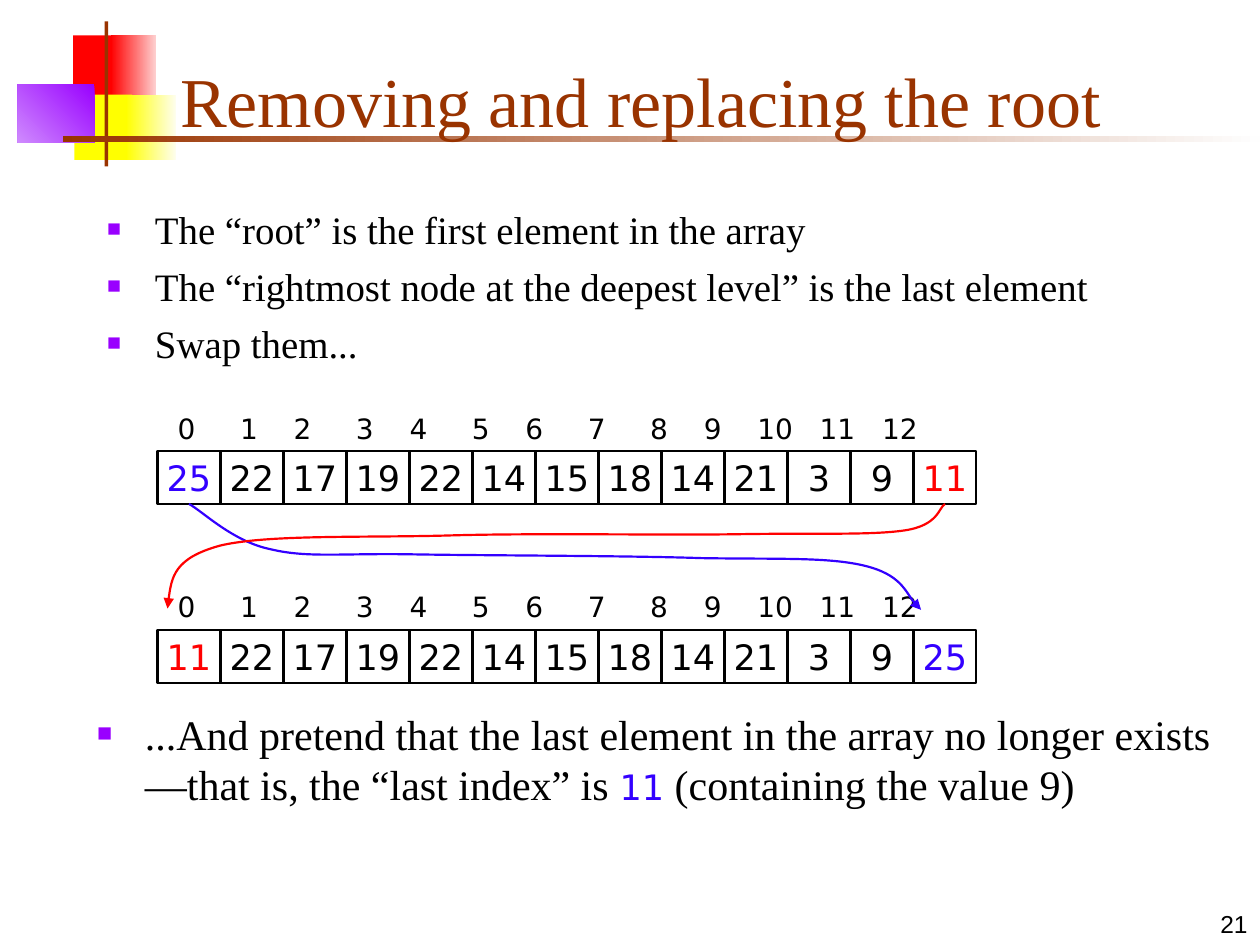
from dataclasses import dataclass
from itertools import accumulate

from lxml.etree import SubElement
from pptx import Presentation
from pptx.dml.color import RGBColor
from pptx.enum.shapes import MSO_SHAPE as Preset
from pptx.enum.text import MSO_ANCHOR as Anchor, MSO_AUTO_SIZE as AutoSize, PP_ALIGN as Align
from pptx.oxml.ns import qn
from pptx.util import Inches, Pt


@dataclass(frozen=True)
class Theme:
    black: str = "000000"
    red: str = "FF0000"
    blue: str = "3300FF"
    yellow: str = "FFFF00"
    purple: str = "9900FF"
    brown: str = "993300"
    pale_red: str = "FED0D0"
    pale_yellow: str = "FEFEEF"
    pale_purple: str = "CF8AFE"
    off_white: str = "FEFEFE"
    serif: str = "Times New Roman"
    sans: str = "DejaVu Sans"
    number_font: str = "Arial"
    title_size: float = 40
    list_size: float = 22.2
    closing_size: float = 24
    cell_size: float = 20
    index_size: float = 16
    number_size: float = 14
    line_width: float = 1.25


theme = Theme()


def format_run(run, size, font, color):
    run.font.size = Pt(size)
    run.font.name = font
    run.font.color.rgb = RGBColor.from_string(color)


def format_bullet(paragraph):
    paragraph.space_before = Pt(6)
    properties = paragraph._p.get_or_add_pPr()
    properties.set("marL", str(Inches(0.38)))
    properties.set("indent", str(-Inches(0.38)))
    color = SubElement(properties, qn("a:buClr"))
    SubElement(color, qn("a:srgbClr"), val=theme.purple)
    SubElement(properties, qn("a:buSzPct"), val="60000")
    SubElement(properties, qn("a:buFont"), typeface=theme.serif)
    SubElement(properties, qn("a:buChar"), char="■")


presentation = Presentation()
presentation.slide_width = Inches(10)
presentation.slide_height = Inches(7.5)
slide = presentation.slides.add_slide(presentation.slide_layouts[3])

decorations = [
    ((0.58, 0.28, 0.35, 0.52), [theme.red], 0),
    ((0.88, 0.28, 0.36, 0.52), [theme.pale_red, theme.red], 180),
    ((0.59, 0.75, 0.46, 0.52), [theme.yellow], 0),
    ((1, 0.75, 0.4, 0.52), [theme.pale_yellow, theme.yellow], 180),
    ((0.14, 0.67, 0.61, 0.46), [theme.purple, theme.pale_purple], 225),
    ((0.83, 0.17, 0.03, 1.15), [theme.brown], 0),
    ((0.5, 1.08, 9.5, 0.05), [theme.off_white, theme.brown], 180),
]
master_tree = presentation.slide_master.shapes.element
for box, colors, angle in decorations:
    shape = slide.shapes.add_shape(Preset.RECTANGLE, *map(Inches, box))
    shape.shadow.inherit = False
    shape.line.fill.background()
    if len(colors) == 1:
        shape.fill.solid()
        shape.fill.fore_color.rgb = RGBColor.from_string(colors[0])
    else:
        shape.fill.gradient()
        shape.fill.gradient_angle = angle
        for stop, color in zip(shape.fill.gradient_stops, colors):
            stop.color.rgb = RGBColor.from_string(color)
    master_tree.append(shape.element)

title, opening, closing = slide.placeholders
placeholder_boxes = [
    (title, (1.33, 0.25, 8.52, 0.92), Anchor.BOTTOM),
    (opening, (0.75, 1.58, 8.58, 1.5), Anchor.TOP),
    (closing, (0.67, 5.57, 9.13, 1.26), Anchor.TOP),
]
for shape, box, anchor in placeholder_boxes:
    shape.left, shape.top, shape.width, shape.height = map(Inches, box)
    shape.text_frame.auto_size = AutoSize.NONE
    shape.text_frame.vertical_anchor = anchor

title.text_frame.text = "Removing and replacing the root"
heading = title.text_frame.paragraphs[0]
heading.alignment = Align.LEFT
format_run(heading.runs[0], theme.title_size, theme.serif, theme.brown)

opening.text_frame.text = "\n".join([
    "The “root” is the first element in the array",
    "The “rightmost node at the deepest level” is the last element",
    "Swap them...",
])
for paragraph in opening.text_frame.paragraphs:
    format_bullet(paragraph)
    format_run(paragraph.runs[0], theme.list_size, theme.serif, theme.black)

paragraph = closing.text_frame.paragraphs[0]
format_bullet(paragraph)
closing_runs = [
    ("...And pretend that the last element in the array no longer exists"
     "—that is, the “last index” is ", theme.closing_size, theme.serif, theme.black),
    ("11", theme.cell_size, theme.sans, theme.blue),
    (" (containing the value 9)", theme.closing_size, theme.serif, theme.black),
]
for text, *style in closing_runs:
    run = paragraph.add_run()
    run.text = text
    format_run(run, *style)

middle = [22, 17, 19, 22, 14, 15, 18, 14, 21, 3, 9]
value_colors = {25: theme.blue, 11: theme.red}
wide, narrow = 0.495, 0.425
index_steps = [wide, narrow] * 3 + [wide, wide, narrow, narrow, wide, wide]
arrays = [([25, *middle, 11], 3.58, 3.22), ([11, *middle, 25], 5, 4.63)]
for values, cell_top, index_top in arrays:
    group = slide.shapes.add_group_shape()
    for column, value in enumerate(values):
        cell = group.shapes.add_shape(
            Preset.RECTANGLE, Inches(1.25 + 0.5 * column), Inches(cell_top), Inches(0.5), Inches(0.42))
        cell.shadow.inherit = False
        cell.fill.background()
        cell.line.color.rgb = RGBColor.from_string(theme.black)
        cell.line.width = Pt(theme.line_width)
        cell.text_frame.word_wrap = False
        cell.text_frame.vertical_anchor = Anchor.MIDDLE
        cell.text_frame.text = str(value)
        paragraph = cell.text_frame.paragraphs[0]
        paragraph.alignment = Align.CENTER
        format_run(paragraph.runs[0], theme.cell_size, theme.sans, value_colors.get(value, theme.black))

    indices = group.shapes.add_textbox(Inches(1.17), Inches(index_top), Inches(6.92), Inches(0.37))
    indices.text_frame.word_wrap = True
    indices.text_frame.margin_left = Inches(0.24)
    indices.text_frame.text = "\t".join(map(str, range(len(values))))
    paragraph = indices.text_frame.paragraphs[0]
    format_run(paragraph.runs[0], theme.index_size, theme.sans, theme.black)
    tabs = SubElement(paragraph._p.get_or_add_pPr(), qn("a:tabLst"))
    for position in accumulate(index_steps):
        SubElement(tabs, qn("a:tab"), pos=str(Inches(position)), algn="l")

swap_curves = [
    (theme.blue, [
        (1.5, 4), (1.61, 4.06), (1.85, 4.3), (2.15, 4.36), (2.44, 4.43), (2.71, 4.39), (3.28, 4.4),
        (3.85, 4.41), (4.98, 4.41), (5.57, 4.43), (6.17, 4.44), (6.57, 4.42), (6.86, 4.49),
        (7.15, 4.56), (7.22, 4.77), (7.31, 4.84)]),
    (theme.red, [
        (7.5, 4), (7.45, 4.03), (7.45, 4.17), (7.18, 4.21), (6.91, 4.25), (6.47, 4.23), (5.88, 4.24),
        (5.28, 4.25), (4.27, 4.23), (3.58, 4.25), (2.9, 4.27), (2.13, 4.24), (1.75, 4.33),
        (1.38, 4.43), (1.35, 4.63), (1.33, 4.83)]),
]
for color, points in swap_curves:
    start, *rest = [(Inches(x), Inches(y)) for x, y in points]
    builder = group.shapes.build_freeform(*start)
    builder.add_line_segments(rest, close=False)
    curve = builder.convert_to_shape()
    curve.shadow.inherit = False
    curve.fill.background()
    curve.line.color.rgb = RGBColor.from_string(color)
    curve.line.width = Pt(theme.line_width)
    SubElement(curve.line._get_or_add_ln(), qn("a:tailEnd"), type="triangle")
    outline = next(curve.element.iter(qn("a:path")))
    segments = outline.findall(qn("a:lnTo"))
    for first in range(0, len(segments), 3):
        bezier = SubElement(outline, qn("a:cubicBezTo"))
        for segment in segments[first:first + 3]:
            bezier.append(segment[0])
            outline.remove(segment)

number = slide.shapes.add_textbox(Inches(7.92), Inches(7), Inches(2.08), Inches(0.5))
number.text_frame.word_wrap = True
number.text_frame.vertical_anchor = Anchor.BOTTOM
number.text_frame.text = "21"
paragraph = number.text_frame.paragraphs[0]
paragraph.alignment = Align.RIGHT
format_run(paragraph.runs[0], theme.number_size, theme.number_font, theme.black)

presentation.save("out.pptx")
